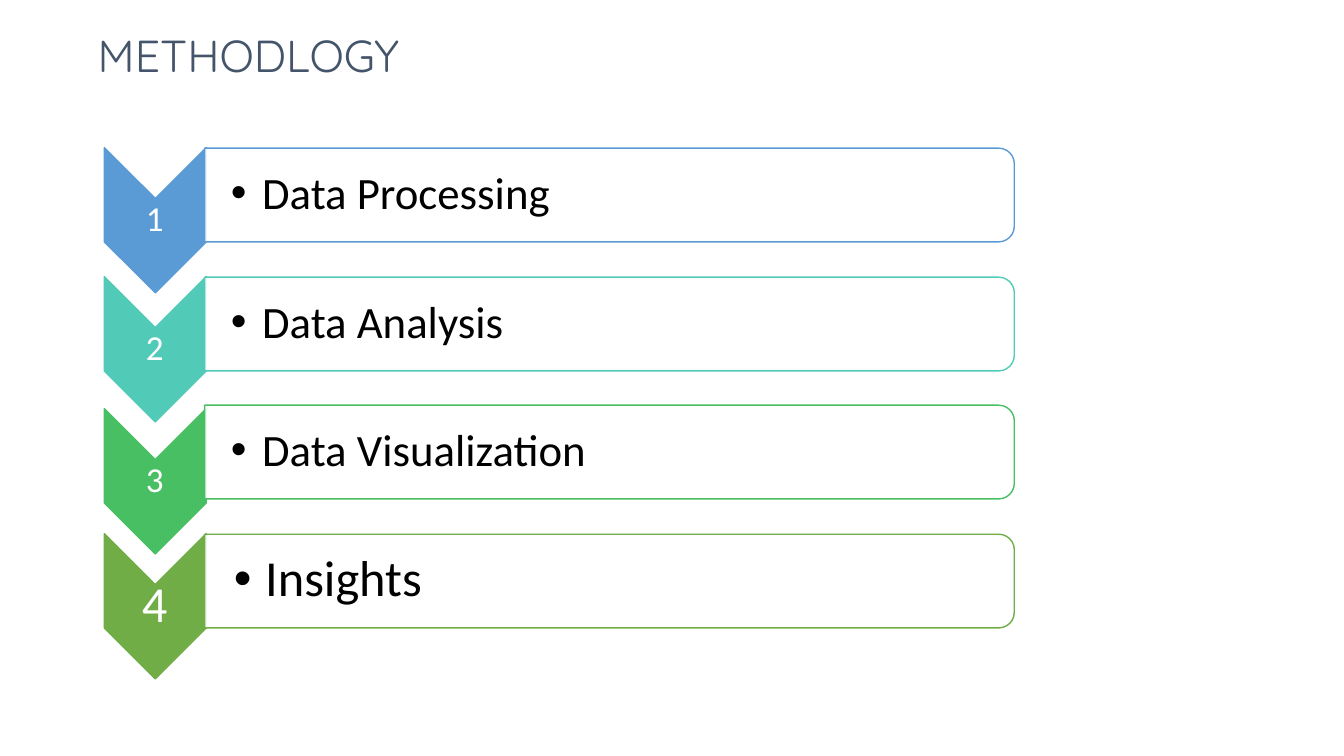
"""Build the methodology slide: four numbered chevrons, each with a labelled box."""
from dataclasses import dataclass

from lxml import etree
from pptx import Presentation
from pptx import util as u
from pptx.dml.color import RGBColor
from pptx.enum import shapes, text
from pptx.oxml import ns

SCALE = 9144
PITCH = 127.7
HUES = {
    "blue": "5B9BD5", "teal": "52CAB8", "green": "49BF64", "olive": "70AD47",
    "slate": "44546A", "white": "FFFFFF", "black": "000000",
}


@dataclass
class Area:
    left: int
    top: int
    width: int
    height: int

    def down(self, step: int) -> "Area":
        return Area(self.left, self.top + step, self.width, self.height)

    def emu(self) -> list[int]:
        return [px(v) for v in (self.left, self.top, self.width, self.height)]


@dataclass
class Step:
    label: str
    hue: str
    num_size: int = 25
    size: int = 32
    pad: int = 2
    inset: int = 25
    nudge: int = 0


STEPS = [
    Step("Data Processing", "blue"),
    Step("Data Analysis", "teal"),
    Step("Data Visualization", "green", nudge=4),
    Step("Insights", "olive", num_size=36, size=36, pad=3, inset=28),
]
TITLE = Area(-348, 22, 1189, 83)
ARROW = Area(82, 168, 144, 101)
NUMBER = Area(103, 197, 101, 43)
PANEL = Area(558, -208, 93, 803)
LABEL = Area(204, 151, 798, 84)


def px(num: int) -> int:
    return num * SCALE


def rgb(hue: str) -> RGBColor:
    return RGBColor.from_string(HUES[hue])


def add_run(para, words: str, size: int, hue: str, face: str = "Calibri") -> None:
    run = para.add_run()
    run.text = words
    run.font.size = u.Pt(size)
    run.font.name = face
    run.font.color.rgb = rgb(hue)


def add_turned(slide, kind, area: Area, fill: str, line: str):
    shape = slide.shapes.add_shape(kind, *area.emu())
    shape.rotation = 90
    shape.shadow.inherit = False
    shape.fill.solid()
    shape.fill.fore_color.rgb = rgb(fill)
    shape.line.color.rgb = rgb(line)
    shape.line.width = u.Pt(1)
    return shape


def add_para(slide, area: Area, left: int, pad: int):
    frame = slide.shapes.add_textbox(*area.emu()).text_frame
    frame.word_wrap = True
    frame.vertical_anchor = text.MSO_ANCHOR.MIDDLE
    frame.margin_left = px(left)
    frame.margin_top = frame.margin_right = frame.margin_bottom = px(pad)
    para = frame.paragraphs[0]
    para.line_spacing = 0.9
    return para


def add_bullet(para) -> None:
    para.level = 1
    props = para._p.get_or_add_pPr()
    props.set("marL", str(px(31)))
    props.set("indent", str(px(-31)))
    etree.SubElement(props, ns.qn("a:buFont")).set("typeface", "Arial")
    etree.SubElement(props, ns.qn("a:buChar")).set("char", "•")


def add_step(slide, index: int, step: Step) -> None:
    drop = round(PITCH * index)
    low = drop + step.nudge
    add_turned(slide, shapes.MSO_SHAPE.CHEVRON, ARROW.down(low), step.hue, step.hue)
    para = add_para(slide, NUMBER.down(low), step.pad, step.pad)
    para.alignment = text.PP_ALIGN.CENTER
    add_run(para, str(index + 1), step.num_size, "white")

    panel = add_turned(slide, shapes.MSO_SHAPE.ROUND_2_SAME_RECTANGLE,
                       PANEL.down(drop), "white", step.hue)
    color = panel._element.spPr.find(ns.qn("a:solidFill"))[0]
    etree.SubElement(color, ns.qn("a:alpha")).set("val", "90000")
    para = add_para(slide, LABEL.down(drop), step.inset, step.pad)
    add_bullet(para)
    add_run(para, step.label, step.size, "black")


def set_title(slide, words: str) -> None:
    title = slide.shapes.title
    title.left, title.top, title.width, title.height = TITLE.emu()
    frame = title.text_frame
    frame.auto_size = text.MSO_AUTO_SIZE.NONE
    frame.vertical_anchor = text.MSO_ANCHOR.TOP
    para = frame.paragraphs[0]
    para.alignment = text.PP_ALIGN.CENTER
    para.line_spacing = 1.0
    add_run(para, words, 32, "slate", "Quicksand")


def main() -> None:
    deck = Presentation()
    deck.slide_width, deck.slide_height = px(1333), px(750)
    slide = deck.slides.add_slide(deck.slide_layouts[5])
    set_title(slide, "METHODLOGY")
    for index, step in enumerate(STEPS):
        add_step(slide, index, step)
    deck.save("out.pptx")


if __name__ == "__main__":
    main()
